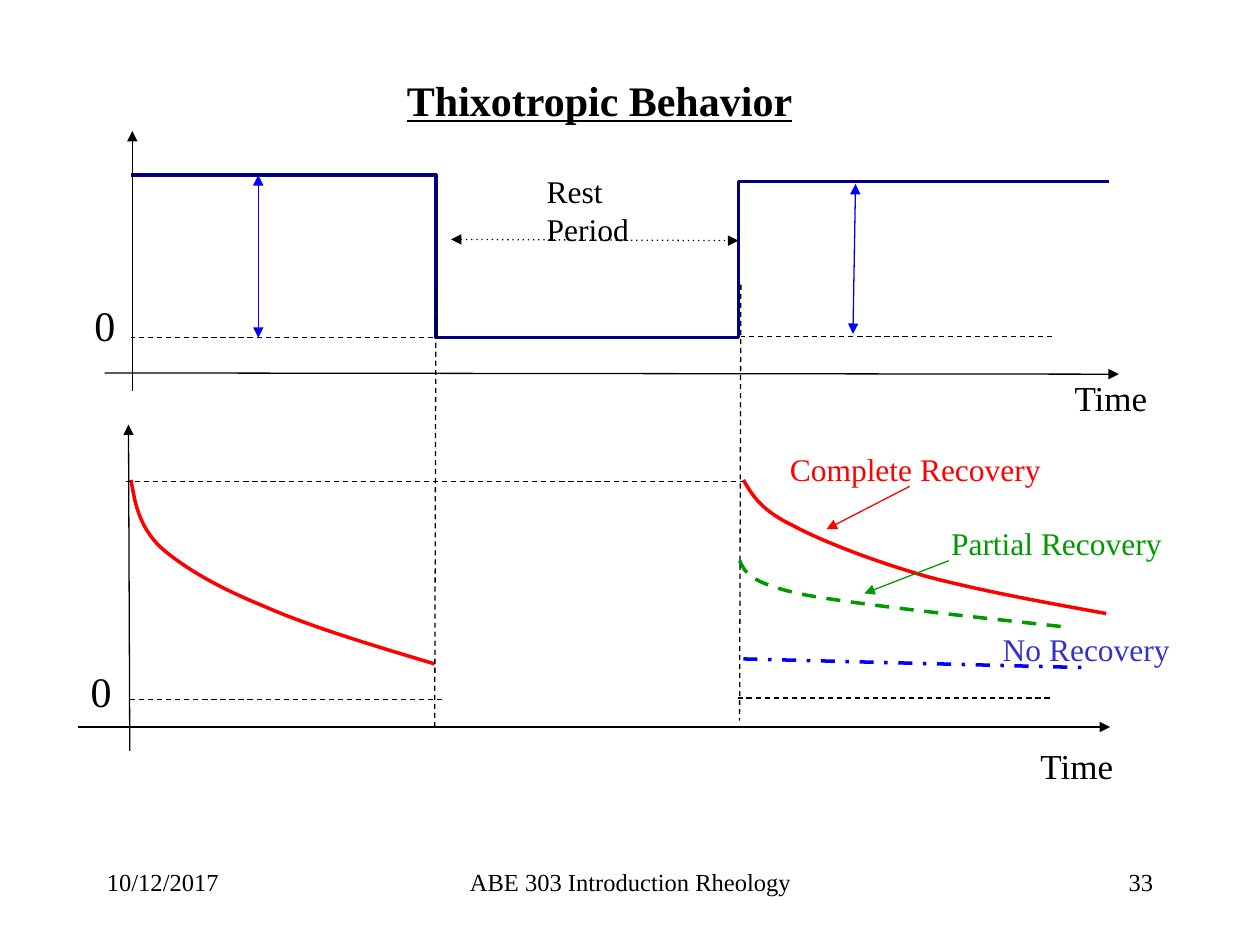
import pptx
import pptx.util
import pptx.dml.color
import pptx.enum.shapes
import pptx.enum.text
import pptx.oxml
import pptx.oxml.ns

COLORS = {
    "black": "000000",
    "navy": "000080",
    "blue": "0000FF",
    "violet": "3333CC",
    "red": "FF0000",
    "green": "009900",
}
FONT = "Times New Roman"
COLUMNS, ROWS = 100, 75
LEFT, CENTER, RIGHT = (
    pptx.enum.text.PP_ALIGN.LEFT,
    pptx.enum.text.PP_ALIGN.CENTER,
    pptx.enum.text.PP_ALIGN.RIGHT,
)

TITLE = ("Thixotropic Behavior", (31.3, 5.4, 33.2, 5), 24, "black", LEFT)
LABELS = [
    ("10/12/2017", (7.5, 68.3, 20.8, 5), 14, "black", LEFT),
    ("ABE 303 Introduction Rheology", (34.2, 68.3, 31.7, 5), 14, "black", CENTER),
    ("33", (71.7, 68.3, 20.8, 5), 14, "black", RIGHT),
    ("0", (6.5, 23.3, 4.2, 5), 24, "black", LEFT),
    ("0", (6.2, 52.3, 4.2, 5), 24, "black", LEFT),
    ("Rest\nPeriod", (42.4, 13.2, 9, 7), 18, "black", LEFT),
    ("Complete Recovery", (61.7, 35.2, 22.5, 4), 18, "red", LEFT),
    ("Partial Recovery", (74.5, 41.1, 19.3, 4), 18, "green", LEFT),
    ("No Recovery", (78.6, 49.5, 15.8, 4), 18, "violet", LEFT),
    ("Time", (84.3, 29.4, 8.4, 4.3), 20, "black", LEFT),
    ("Time", (81.6, 58.6, 8.4, 4.3), 20, "black", LEFT),
]

AXES = [
    ((8.3, 29.6), (88.8, 29.7)),
    ((10.5, 31), (10.5, 10.4)),
    ((6.2, 57.7), (88.1, 57.7)),
    ((10.3, 59.6), (10.2, 33.7)),
]
GUIDES = [
    ((35.1, 26.8), (10.4, 26.8)),
    ((83.5, 26.7), (58.8, 26.7)),
    ((34.6, 22.9), (34.5, 57.8)),
    ((58.8, 22.6), (58.7, 57.2)),
    ((10, 38.2), (59, 38.2)),
    ((35.1, 55.5), (10.3, 55.5)),
    ((83.3, 55.4), (58.6, 55.4)),
]
SHEAR_SPANS = [((20.5, 26.8), (20.5, 13.9)), ((67.7, 26.5), (67.9, 14.6))]
REST_SPAN = [((35.8, 19), (58.6, 19.1))]
COMPLETE_POINTER = [((72.2, 38.6), (65.6, 42))]
PARTIAL_POINTER = [((75.3, 44.5), (68.6, 47.1))]
LINE_GROUPS = [
    (AXES, "black", None, ["tail"]),
    (GUIDES, "black", "dash", []),
    (REST_SPAN, "black", "dot", ["head", "tail"]),
    (SHEAR_SPANS, "blue", None, ["head", "tail"]),
    (COMPLETE_POINTER, "red", None, ["tail"]),
    (PARTIAL_POINTER, "green", None, ["tail"]),
]

SHEAR_STEPS = [(10.4, 13.9), (34.6, 13.9), (34.6, 26.8), (58.6, 26.8), (58.6, 14.4), (88, 14.4)]
FIRST_DECAY = [
    (10.4, 38.1), (10.7, 39.9), (11, 41.7), (12.7, 43.4), (14.5, 45),
    (17.2, 46.6), (20.9, 48.1), (24.5, 49.7), (29.5, 51.2), (34.5, 52.7),
]
COMPLETE_DECAY = [
    (59, 38.1), (59.7, 39.3), (60.4, 40.5), (62.9, 41.7), (65.3, 43),
    (69.5, 44.6), (73.7, 45.8), (77.9, 46.9), (82.8, 47.8), (87.8, 48.7),
]
PARTIAL_DECAY = [
    (58.7, 44.5), (59.1, 45.4), (59.5, 46.3), (63.8, 47.2),
    (68.2, 48), (76.6, 48.9), (84.9, 49.8),
]
NO_DECAY = [(59, 52.3), (86.6, 53)]
TRACES = [
    (SHEAR_STEPS, "navy", None, False),
    (FIRST_DECAY, "red", None, True),
    (COMPLETE_DECAY, "red", None, True),
    (PARTIAL_DECAY, "green", "dash", True),
    (NO_DECAY, "blue", "dashDot", False),
]

deck = pptx.Presentation()
deck.slide_width = pptx.util.Inches(10)
deck.slide_height = pptx.util.Inches(7.5)
slide = deck.slides.add_slide(deck.slide_layouts[5])


def place(point):
    x, y = point
    return round(x * deck.slide_width / COLUMNS), round(y * deck.slide_height / ROWS)


def rgb(color):
    return pptx.dml.color.RGBColor.from_string(COLORS[color])


def apply(target, values):
    for name, value in values.items():
        setattr(target, name, value)


def write(box, content, **emphasis):
    words, area, size, color, align = content
    left, top = place(area[:2])
    width, height = place(area[2:])
    apply(box, {"left": left, "top": top, "width": width, "height": height})
    apply(box.text_frame, {
        "text": words,
        "word_wrap": True,
        "auto_size": pptx.enum.text.MSO_AUTO_SIZE.NONE,
        "vertical_anchor": pptx.enum.text.MSO_ANCHOR.TOP,
    })
    for paragraph in box.text_frame.paragraphs:
        paragraph.alignment = align
        for run in paragraph.runs:
            apply(run.font, {"name": FONT, "size": pptx.util.Pt(size), **emphasis})
            run.font.color.rgb = rgb(color)


def stroke(mark, color, width, dash, arrows=()):
    mark.line.width = pptx.util.Pt(width)
    mark.line.color.rgb = rgb(color)
    outline = mark.line._get_or_add_ln()
    if dash:
        pptx.oxml.ns.qn("a:prstDash")
        add_child(outline, "prstDash", val=dash)
    for end in arrows:
        add_child(outline, end + "End", type="triangle")


def add_child(parent, tag, **attributes):
    child = parent.makeelement(pptx.oxml.ns.qn("a:" + tag), attributes)
    parent.append(child)
    return child


def round_off(trace):
    path = trace._element.find(".//" + pptx.oxml.ns.qn("a:path"))
    segments = path.findall(pptx.oxml.ns.qn("a:lnTo"))
    for first in range(0, len(segments), 3):
        curve = add_child(path, "cubicBezTo")
        for segment in segments[first:first + 3]:
            curve.append(segment[0])
            path.remove(segment)


write(slide.shapes.title, TITLE, bold=True, underline=True)

for points, color, dash, curved in TRACES:
    start, *rest = [place(point) for point in points]
    builder = slide.shapes.build_freeform(*start)
    builder.add_line_segments(rest, close=False)
    trace = builder.convert_to_shape()
    trace.shadow.inherit = False
    trace.fill.background()
    stroke(trace, color, 2, dash)
    if curved:
        round_off(trace)

for lines, color, dash, arrows in LINE_GROUPS:
    for start, end in lines:
        line = slide.shapes.add_connector(
            pptx.enum.shapes.MSO_CONNECTOR.STRAIGHT, *place(start), *place(end))
        stroke(line, color, 0.75, dash, arrows)
        add_child(line._element.spPr, "effectLst")

for label in LABELS:
    write(slide.shapes.add_textbox(0, 0, 0, 0), label)

deck.save("out.pptx")
